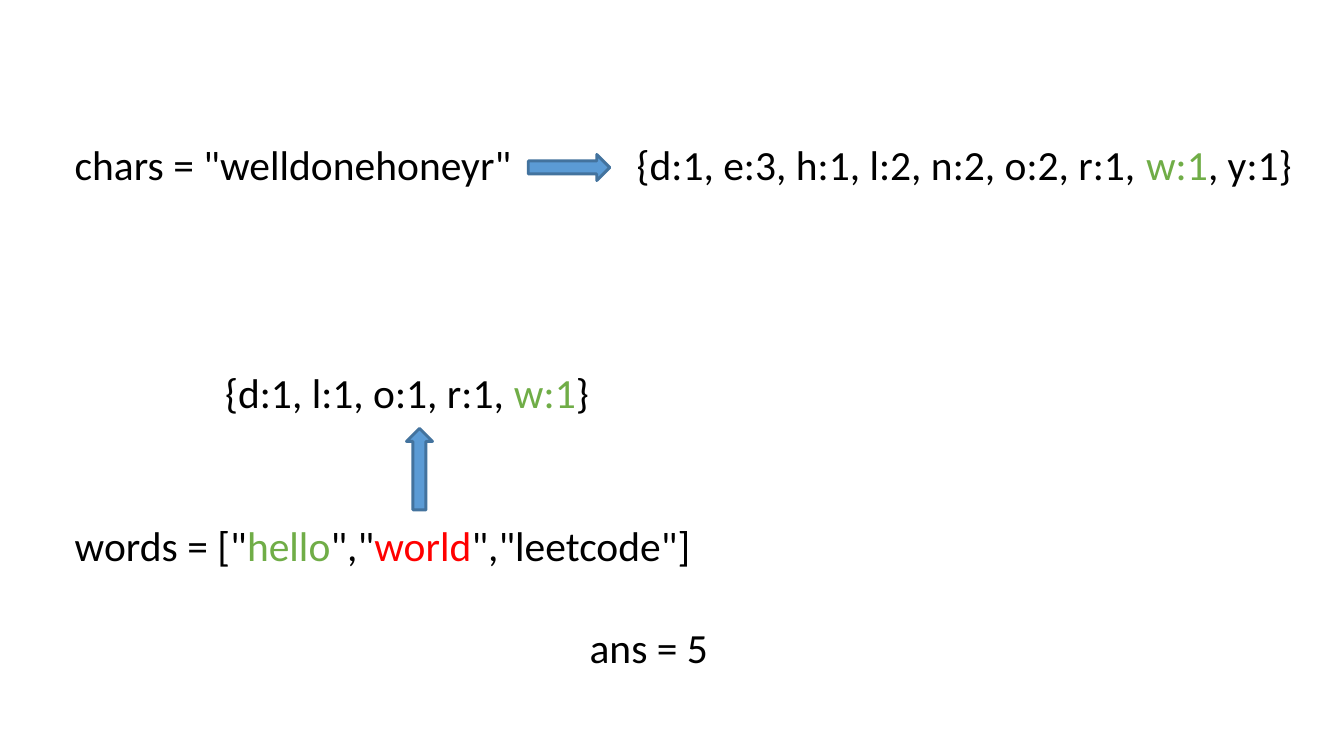
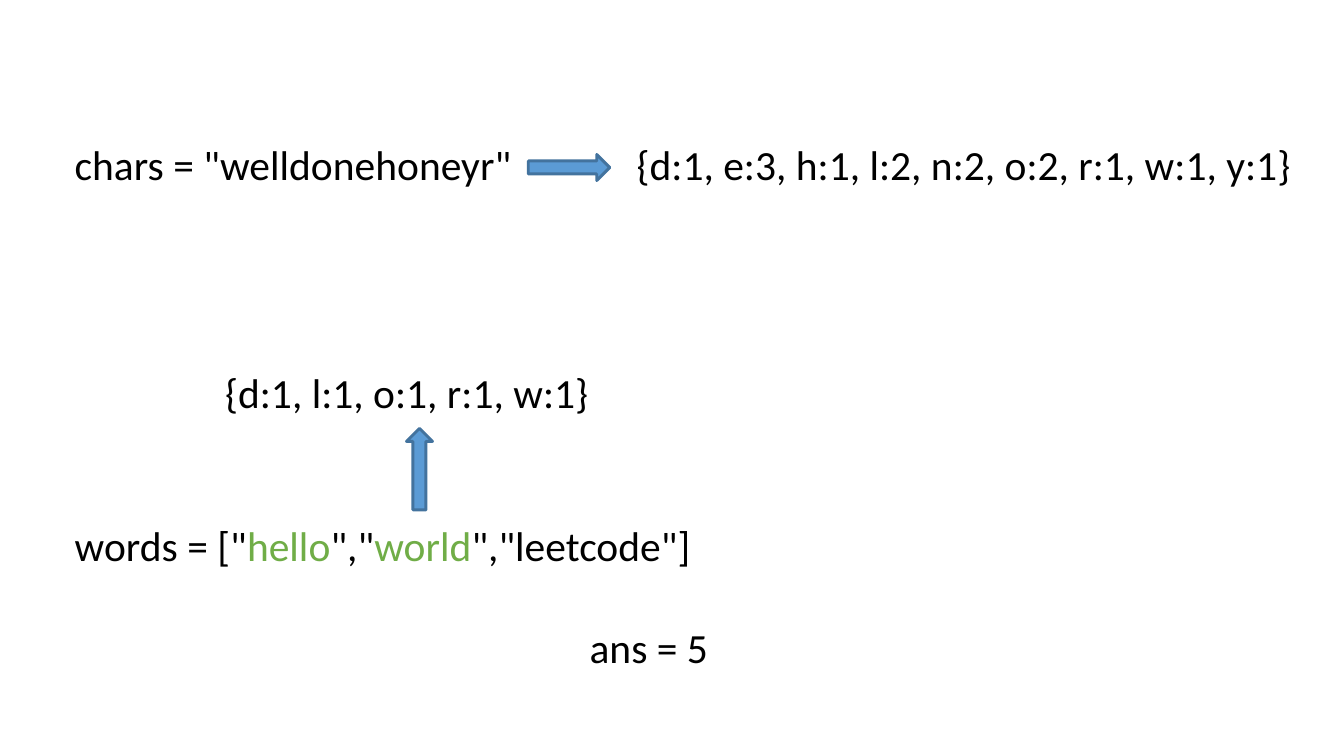
from pptx import Presentation
from pptx.dml.color import RGBColor
from pptx.enum.shapes import MSO_SHAPE as Preset
from pptx.enum.text import MSO_AUTO_SIZE as AutoSize
from pptx.util import Pt

PX = 3600  # 100 px to the centimetre
SLIDE_SIZE = (1600, 900)
COLORS = {
    "text": "000000",
    "match": "70AD47",
    "missing": "FF0000",
    "arrow": "5B9BD5",
    "arrow_edge": "43739E",
}
FONT = {"name": "Calibri", "size": Pt(14)}
LINE_HEIGHT = 86
ARROW_SIZE = (97, 31)

# Left, top and width of each line of text
PLACES = {
    "chars": (64, 153, 579),
    "char_counts": (733, 153, 843),
    "word_counts": (243, 424, 490),
    "words": (64, 607, 904),
    "answer": (677, 728, 226),
}
# Left, top and rotation of each arrow
ARROWS = [(629, 184, 0), (451, 543, 270)]

# One entry per slide: colour of the shared letter w, colour of "world"
STEPS = [("match", "missing"), ("text", "match")]


def step_lines(w_color, world_color):
    """Return the (text, colour) pieces of every line for one step."""
    return {
        "chars": [('chars = "welldonehoneyr"', "text")],
        "char_counts": [
            ("{d:1, e:3, h:1, l:2, n:2, o:2, r:1, ", "text"),
            ("w:1", w_color),
            (", y:1}", "text"),
        ],
        "word_counts": [
            ("{d:1, l:1, o:1, r:1, ", "text"),
            ("w:1", w_color),
            ("}", "text"),
        ],
        "words": [
            ('words = ["', "text"),
            ("hello", "match"),
            ('","', "text"),
            ("world", world_color),
            ('","leetcode"]', "text"),
        ],
        "answer": [("ans = 5", "text")],
    }


def emu(*lengths):
    return [length * PX for length in lengths]


def rgb(key):
    return RGBColor.from_string(COLORS[key])


def add_line(slide, place, pieces):
    frame = slide.shapes.add_textbox(*emu(*place, LINE_HEIGHT)).text_frame
    frame.word_wrap = True
    frame.auto_size = AutoSize.SHAPE_TO_FIT_TEXT
    for text, color in pieces:
        run = frame.paragraphs[0].add_run()
        run.text = text
        for attribute, value in FONT.items():
            setattr(run.font, attribute, value)
        run.font.color.rgb = rgb(color)


def add_arrow(slide, left, top, rotation):
    arrow = slide.shapes.add_shape(Preset.RIGHT_ARROW, *emu(left, top, *ARROW_SIZE))
    arrow.rotation = rotation
    arrow.shadow.inherit = False
    arrow.fill.solid()
    arrow.fill.fore_color.rgb = rgb("arrow")
    arrow.line.color.rgb = rgb("arrow_edge")
    arrow.line.width = Pt(1)


def main():
    deck = Presentation()
    deck.slide_width, deck.slide_height = emu(*SLIDE_SIZE)
    blank = deck.slide_layouts[6]
    for step in STEPS:
        slide = deck.slides.add_slide(blank)
        for part, pieces in step_lines(*step).items():
            add_line(slide, PLACES[part], pieces)
        for arrow in ARROWS:
            add_arrow(slide, *arrow)
    deck.save("out.pptx")


if __name__ == "__main__":
    main()
